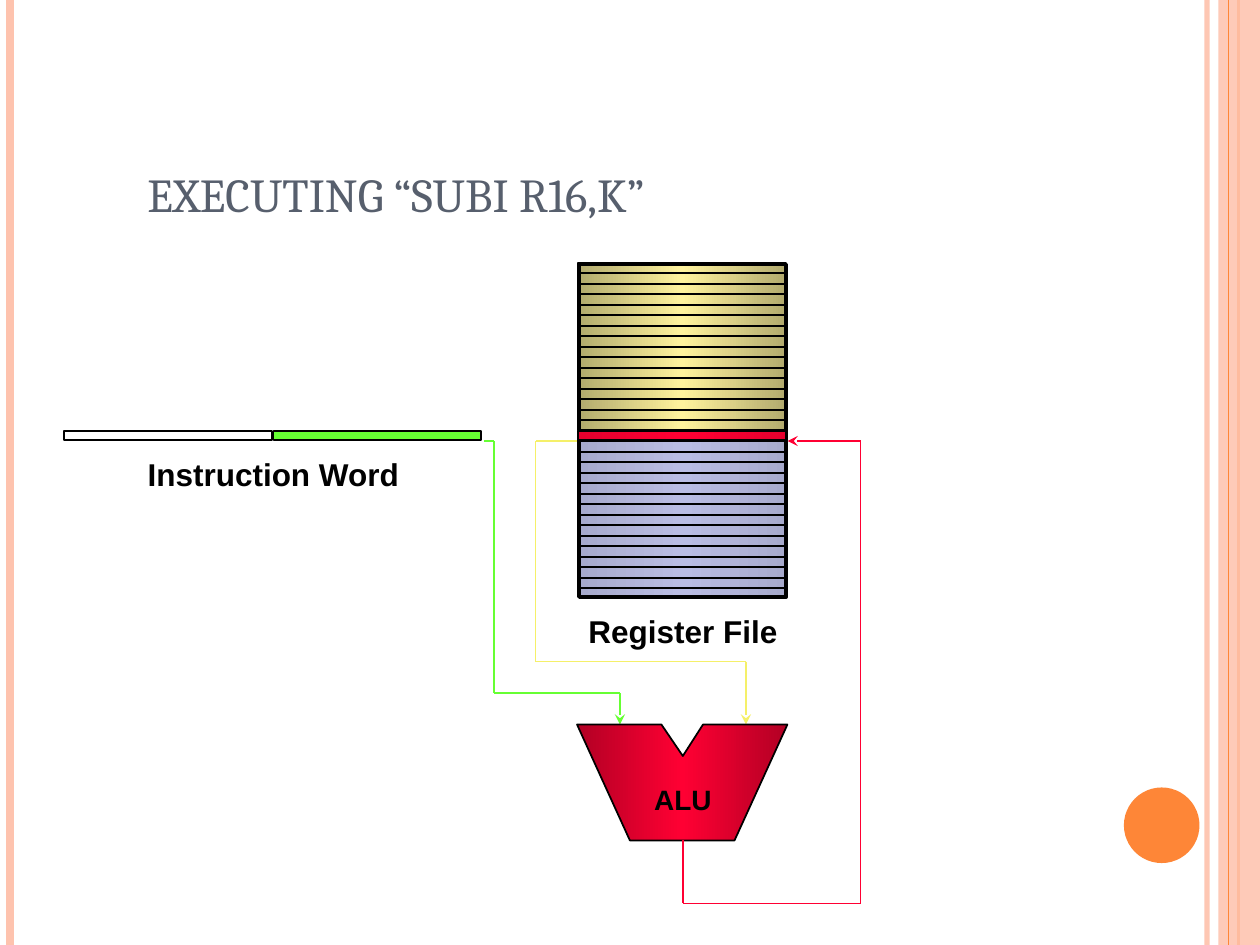
"""Builds a slide that shows how SUBI moves data between registers and ALU."""
from copy import deepcopy
from itertools import pairwise
from lxml import etree
from pptx import Presentation
from pptx import util as u
from pptx.dml.color import RGBColor
from pptx.enum import shapes, text
from pptx.oxml.ns import qn

HUES = {
    "black": "000000", "white": "FFFFFF", "slate": "575F6D",
    "peach": "FEC3AE", "orange": "FE8637", "green": "66FF33",
    "yellow": "F5F069", "red": "FF0033", "wine": "B20024", "ruby": "E5002E",
    "blue": "BABDE3", "dusk": "A7AACC", "sand": "FFF39D", "khaki": "B2AA6E",
}
TITLE = "EXECUTING “SUBI R16,K”"
LABELS = {
    "file": ("Register File", 18, (4.57, 4.81, 1.7, 0.4)),
    "word": ("Instruction Word", 18, (1.07, 3.56, 2.2, 0.4)),
    "alu": ("ALU", 16, (5.09, 6.16, 0.66, 0.37)),
}
RAILS = [(9.58, "peach", 3, 93), (0.08, "peach", 4.5, 100), (9.83, "orange", 1.5, 100)]
BANKS = [(3.42, ("dusk", "blue")), (2.09, ("khaki", "sand"))]
ALU = [(4.58, 5.75), (5.25, 5.75), (5.42, 6), (5.58, 5.75),
       (6.25, 5.75), (5.83, 6.67), (5, 6.67)]
INPUTS = [
    ("green", [(3.84, 3.5), (3.92, 3.5), (3.92, 5.5), (4.92, 5.5), (4.92, 5.75)]),
    ("yellow", [(4.58, 3.5), (4.25, 3.5), (4.25, 5.25), (5.92, 5.25), (5.92, 5.75)]),
]
RESULT = ("red", [(5.42, 6.67), (5.42, 7.17), (6.83, 7.17), (6.83, 3.5), (6.25, 3.5)])
LEFT, WIDE, TALL = 4.59, 1.65, 0.07
TOP, STEP, ROWS = 2.085, 1 / 12, 32
BAR = 3.42

deck = Presentation()
deck.slide_width, deck.slide_height = u.Inches(10), u.Inches(7.5)
slide = deck.slides.add_slide(deck.slide_layouts[5])
parts = slide.shapes


def tint(name):
    return RGBColor.from_string(HUES[name])


def fade(node, alpha):
    if alpha < 100:
        hue = next(node.iter(qn("a:srgbClr")))
        etree.SubElement(hue, qn("a:alpha")).set("val", str(alpha * 1000))


def paint(shape, fill, edge=None):
    """Fills with one colour name, an (edge, centre) pair, or nothing."""
    shape.shadow.inherit = False
    if fill is None:
        shape.fill.background()
    elif isinstance(fill, str):
        shape.fill.solid()
        shape.fill.fore_color.rgb = tint(fill)
    else:
        shape.fill.gradient()
        shape.fill.gradient_angle = 0
        stops = next(shape._element.iter(qn("a:gsLst")))
        stops.append(deepcopy(stops[0]))
        names = (fill[0], fill[1], fill[0])
        for stop, name, place in zip(shape.fill.gradient_stops, names, (0, 0.5, 1)):
            stop.color.rgb, stop.position = tint(name), place
    if edge:
        shape.line.color.rgb, shape.line.width = tint("black"), u.Pt(edge)
    else:
        shape.line.fill.background()
    return shape


def block(box, fill, edge=None, kind=shapes.MSO_SHAPE.RECTANGLE):
    return paint(parts.add_shape(kind, *map(u.Inches, box)), fill, edge)


def line(start, end, hue, width=1, arrow=False, alpha=100):
    wire = parts.add_connector(shapes.MSO_CONNECTOR.STRAIGHT,
                               *map(u.Inches, (*start, *end)))
    wire.line.color.rgb, wire.line.width = tint(hue), u.Pt(width)
    edge = wire.line._get_or_add_ln()
    fade(edge, alpha)
    if arrow:
        etree.SubElement(edge, qn("a:tailEnd")).set("type", "stealth")
    etree.SubElement(wire._element.spPr, qn("a:effectLst"))


def route(hue, points):
    legs = list(pairwise(points))
    for start, end in legs:
        line(start, end, hue, arrow=end == points[-1])


def write(para, words, size, face, hue, bold):
    run = para.add_run()
    run.text = words
    font = run.font
    font.size, font.name, font.bold = u.Pt(size), face, bold
    font.color.rgb = tint(hue)


def label(key):
    words, size, box = LABELS[key]
    frame = parts.add_textbox(*map(u.Inches, box)).text_frame
    frame.word_wrap = False
    frame.auto_size = text.MSO_AUTO_SIZE.SHAPE_TO_FIT_TEXT
    para = frame.paragraphs[0]
    para.alignment = text.PP_ALIGN.CENTER
    write(para, words, size, "Arial", "black", True)


for x, hue, width, alpha in RAILS:
    line((x, 0), (x, 7.5), hue, width, alpha=alpha)
fade(block((9.67, 0, 0.33, 7.5), "peach")._element.spPr, 87)
line((9.75, 0), (9.75, 7.5), "orange", 0.75)
block((8.92, 6.25, 0.6, 0.6), "orange", kind=shapes.MSO_SHAPE.OVAL)

head = parts.title
head.left, head.top, head.width, head.height = map(u.Inches, (1.07, 1.22, 7.87, 0.59))
head.text_frame.vertical_anchor = text.MSO_ANCHOR.BOTTOM
head.text_frame.auto_size = text.MSO_AUTO_SIZE.NONE
para = head.text_frame.paragraphs[0]
para.alignment = text.PP_ALIGN.LEFT
write(para, TITLE, 27, "Cambria", "slate", False)

for y, fill in BANKS:
    block((LEFT, y, WIDE, 1.32), fill, 1)
block((4.6, 2.1, 1.64, 2.64), None, 2)
label("file")
for row in range(1, ROWS):
    y = TOP + row * STEP
    line((LEFT, y), (6.25, y), "black")

block((2.17, BAR, WIDE, TALL), "green", 1)
for hue, points in INPUTS:
    route(hue, points)
pen = parts.build_freeform(*map(u.Inches, ALU[0]))
pen.add_line_segments([tuple(map(u.Inches, spot)) for spot in ALU[1:]], close=True)
paint(pen.convert_to_shape(), ("wine", "red"), 1)
route(*RESULT)
block((0.51, BAR, WIDE, TALL), "white", 1)
label("word")
block((LEFT, BAR, WIDE, TALL), ("ruby", "red"), 1)
label("alu")

deck.save("out.pptx")
